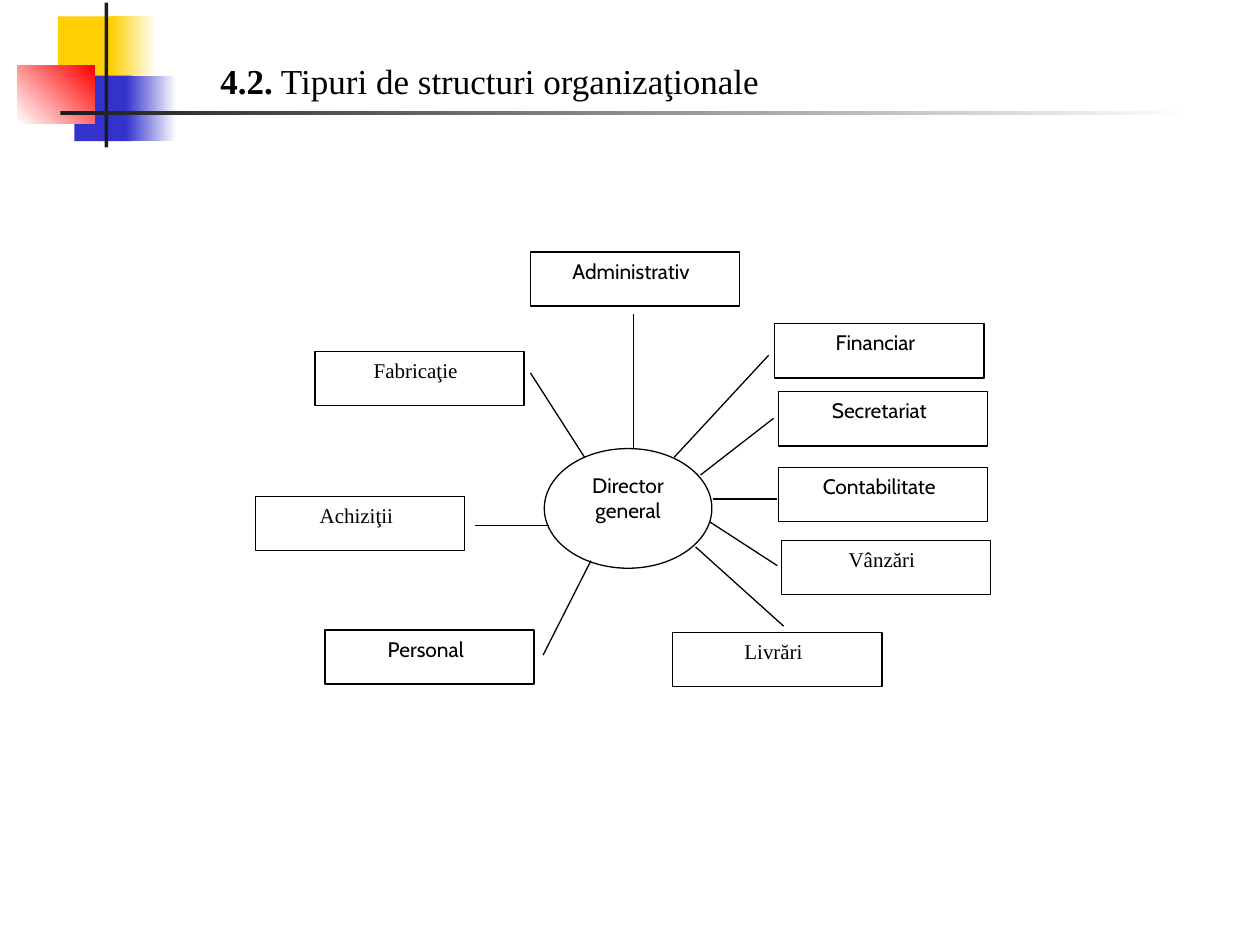
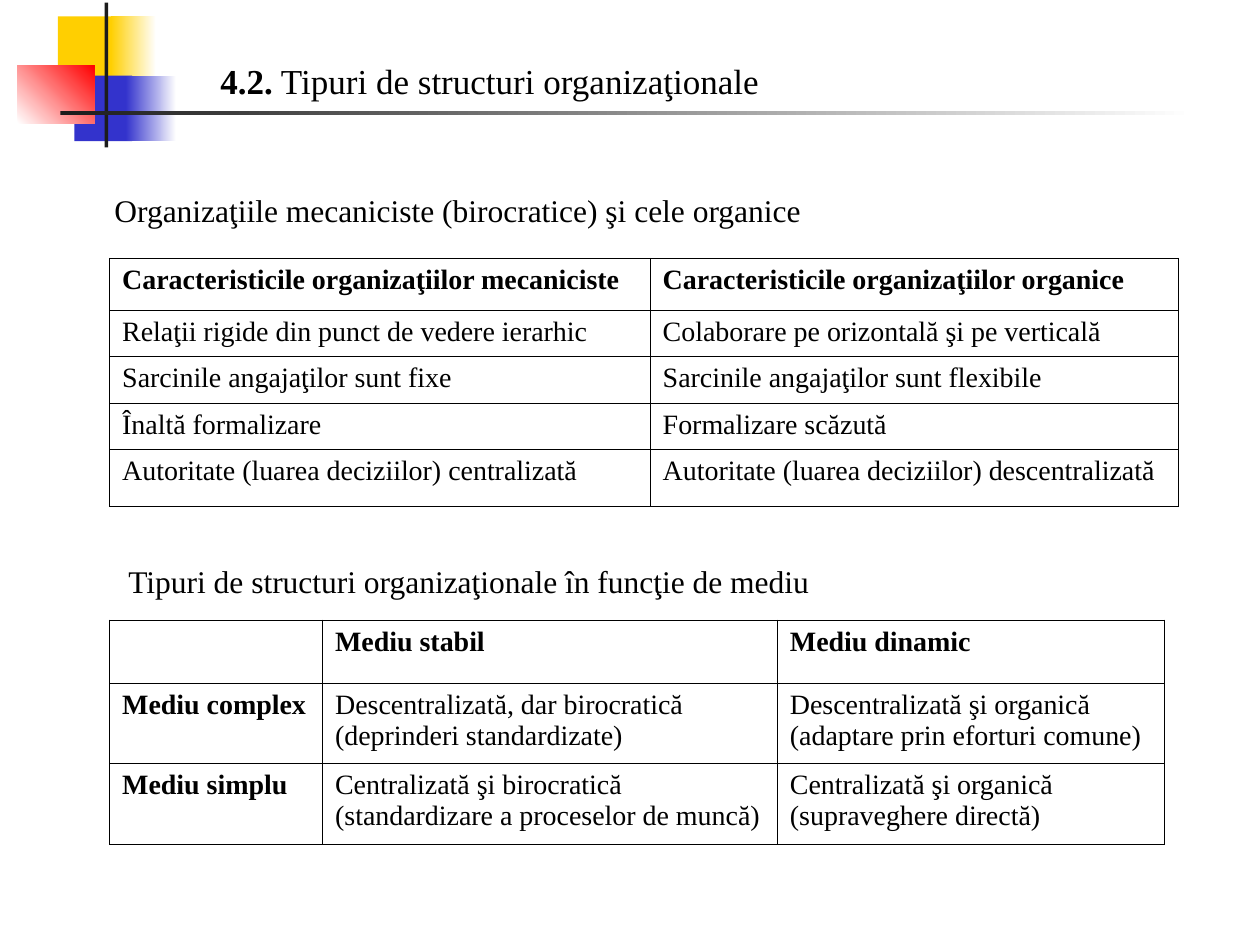
from dataclasses import dataclass

from pptx import Presentation
from pptx.dml.color import RGBColor
from pptx.enum.shapes import MSO_CONNECTOR as CONN, MSO_SHAPE as SHAPE
from pptx.enum.text import MSO_ANCHOR as ANCHOR, PP_ALIGN as ALIGN
from pptx.oxml.ns import qn
from pptx.util import Pt
from lxml.etree import SubElement

PX = 9144  # 100 px to the inch


@dataclass(frozen=True)
class Theme:
    black: str = "000000"
    white: str = "FFFFFF"
    yellow: str = "FFCF01"
    blue: str = "3333CC"
    red: str = "FF0000"
    dark: str = "1C1C1C"
    serif: str = "Times New Roman"
    sans: str = "Cabin"
    title: int = 20
    heading: int = 18
    cell: int = 16
    label: int = 12
    line: float = 0.75
    border: float = 0.45


T = Theme()

TITLE = ("4.2.", " Tipuri de structuri organizaţionale")
TITLE_BOX = (165, 42, 457, 42)

# box, colours (two make a gradient), gradient angle
ORNAMENT = [
    ((46, 13, 48, 52), (T.yellow,), 0),
    ((88, 13, 36, 52), (T.yellow, T.white), 0),
    ((59, 60, 46, 52), (T.blue,), 0),
    ((100, 60, 40, 52), (T.blue, T.white), 0),
    ((14, 52, 61, 46), (T.white, T.red), 45),
    ((83, 2, 3, 115), (T.dark,), 0),
    ((48, 88, 900, 3), (T.dark, T.white), 0),
]

DIRECTOR = ("Director\ngeneral", (432, 356, 133, 95))
DEPT_SIZE = (166, 43)
# name, top left corner of its box, spoke from the director, spoke end
DEPARTMENTS = [
    ("Administrativ", (421, 200), (503, 356), (503, 249)),
    ("Financiar", (615, 257), (535, 363), (610, 282)),
    ("Secretariat", (618, 311), (556, 377), (614, 332)),
    ("Contabilitate", (618, 371), (566, 396), (617, 396)),
    ("Vânzări", (620, 429), (563, 414), (617, 449)),
    ("Livrări", (534, 502), (552, 434), (622, 497)),
    ("Personal", (258, 500), (469, 445), (431, 520)),
    ("Achiziţii", (203, 394), (436, 417), (377, 417)),
    ("Fabricaţie", (250, 279), (464, 363), (421, 296)),
]

SECTIONS = [
    {
        "heading": "Organizaţiile mecaniciste (birocratice) şi cele organice",
        "heading_box": (81, 147, 874, 40),
        "at": (87, 205),
        "cols": (429, 419),
        "rows": (41, 37, 37, 37, 45),
        "bold_first_col": False,
        "cells": [
            ("Caracteristicile organizaţiilor mecaniciste",
             "Caracteristicile organizaţiilor organice"),
            ("Relaţii rigide din punct de vedere ierarhic",
             "Colaborare pe orizontală şi pe verticală"),
            ("Sarcinile angajaţilor sunt fixe",
             "Sarcinile angajaţilor sunt flexibile"),
            ("Înaltă formalizare", "Formalizare scăzută"),
            ("Autoritate (luarea deciziilor) centralizată",
             "Autoritate (luarea deciziilor) descentralizată"),
        ],
    },
    {
        "heading": "Tipuri de structuri organizaţionale în funcţie de mediu",
        "heading_box": (92, 441, 874, 40),
        "at": (87, 492),
        "cols": (169, 361, 307),
        "rows": (50, 64, 64),
        "bold_first_col": True,
        "cells": [
            ("", "Mediu stabil", "Mediu dinamic"),
            ("Mediu complex",
             "Descentralizată, dar birocratică (deprinderi standardizate)",
             "Descentralizată şi organică (adaptare prin eforturi comune)"),
            ("Mediu simplu",
             "Centralizată şi birocratică (standardizare a proceselor de muncă)",
             "Centralizată şi organică (supraveghere directă)"),
        ],
    },
]


def emu(*lengths):
    return [n * PX for n in lengths]


def rgb(colour):
    return RGBColor.from_string(colour)


def style(r, size, font=T.serif, bold=False):
    r.font.size, r.font.name, r.font.bold = Pt(size), font, bold
    r.font.color.rgb = rgb(T.black)


def add_shape(slide, kind, box, colours=(T.white,), angle=0, outlined=False):
    sp = slide.shapes.add_shape(kind, *emu(*box))
    sp.shadow.inherit = False
    if len(colours) == 1:
        sp.fill.solid()
        sp.fill.fore_color.rgb = rgb(colours[0])
    else:
        sp.fill.gradient()
        sp.fill.gradient_angle = angle
        for stop, colour in zip(sp.fill.gradient_stops, colours):
            stop.color.rgb = rgb(colour)
    if outlined:
        sp.line.color.rgb = rgb(T.black)
        sp.line.width = Pt(T.line)
    else:
        sp.line.fill.background()
    return sp


def write(sp, text, size, font=T.serif, align=ALIGN.LEFT):
    tf = sp.text_frame
    tf.word_wrap = True
    tf.vertical_anchor = ANCHOR.TOP
    tf.text = text
    for p in tf.paragraphs:
        p.alignment = align
        for r in p.runs:
            style(r, size, font)


def add_spoke(slide, start, end):
    line = slide.shapes.add_connector(CONN.STRAIGHT, *emu(*start, *end))
    line.line.color.rgb = rgb(T.black)
    line.line.width = Pt(T.line)
    SubElement(line._element.spPr, qn("a:effectLst"))


def set_borders(cell):
    tcPr = cell._tc.get_or_add_tcPr()
    for side in "LRTB":
        ln = SubElement(tcPr, qn(f"a:ln{side}"), w=str(Pt(T.border)))
        SubElement(SubElement(ln, qn("a:solidFill")), qn("a:srgbClr"), val=T.black)


def add_section(slide, section):
    """Add a heading and the table under it."""
    sp = add_shape(slide, SHAPE.RECTANGLE, section["heading_box"])
    write(sp, section["heading"], T.heading)

    cols, rows = section["cols"], section["rows"]
    frame = slide.shapes.add_table(
        len(rows), len(cols), *emu(*section["at"], sum(cols), sum(rows)))
    table = frame.table
    table.first_row = table.horz_banding = False
    for col, width in zip(table.columns, cols):
        col.width = width * PX
    for row, height in zip(table.rows, rows):
        row.height = height * PX
    for i, texts in enumerate(section["cells"]):
        for j, text in enumerate(texts):
            cell = table.cell(i, j)
            set_borders(cell)
            cell.fill.background()
            cell.text = text
            bold = i == 0 or (j == 0 and section["bold_first_col"])
            for r in cell.text_frame.paragraphs[0].runs:
                style(r, T.cell, bold=bold)


def new_slide(prs):
    """Add a blank slide with the shared ornament and title."""
    slide = prs.slides.add_slide(prs.slide_layouts[6])
    for box, colours, angle in ORNAMENT:
        add_shape(slide, SHAPE.RECTANGLE, box, colours, angle)
    tf = slide.shapes.add_textbox(*emu(*TITLE_BOX)).text_frame
    tf.word_wrap = True
    for text, bold in zip(TITLE, (True, False)):
        r = tf.paragraphs[0].add_run()
        r.text = text
        style(r, T.title, bold=bold)
    return slide


def add_organisation(slide):
    text, box = DIRECTOR
    sp = add_shape(slide, SHAPE.OVAL, box, outlined=True)
    write(sp, text, T.label, T.sans, ALIGN.CENTER)
    for name, corner, start, end in DEPARTMENTS:
        sp = add_shape(slide, SHAPE.RECTANGLE, corner + DEPT_SIZE, outlined=True)
        # names with Romanian letters are set in the serif face
        write(sp, name, T.label, T.sans if name.isascii() else T.serif, ALIGN.CENTER)
        sp.text_frame.margin_right = 16 * PX
        add_spoke(slide, start, end)


def main():
    prs = Presentation()
    prs.slide_width, prs.slide_height = emu(1000, 750)
    add_organisation(new_slide(prs))
    slide = new_slide(prs)
    for section in SECTIONS:
        add_section(slide, section)
    prs.save("out.pptx")


if __name__ == "__main__":
    main()
